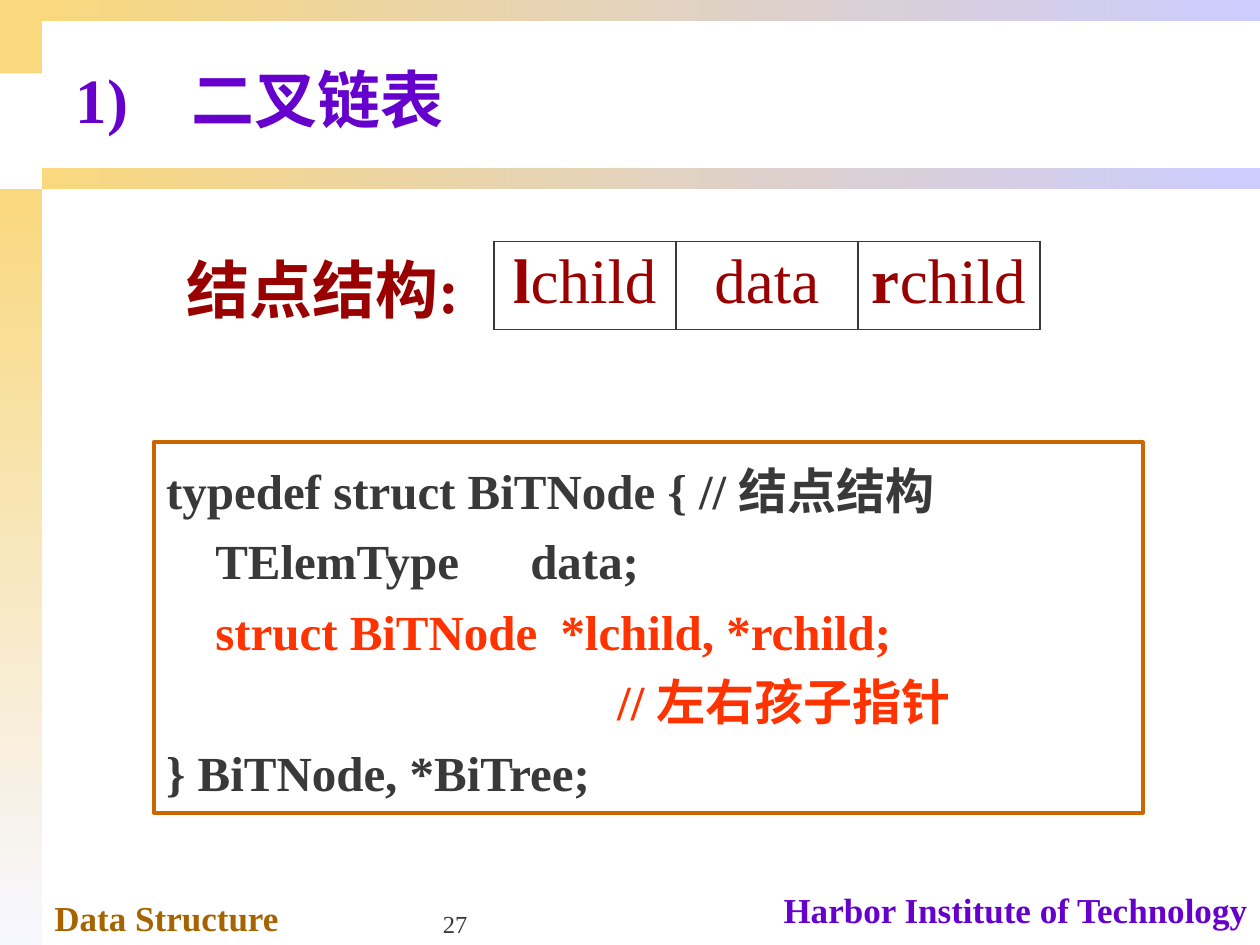
from lxml.etree import SubElement
from pptx import Presentation
from pptx.dml.color import RGBColor
from pptx.enum.shapes import MSO_SHAPE
from pptx.enum.text import MSO_ANCHOR, PP_ALIGN
from pptx.oxml.ns import qn
from pptx.util import Inches, Pt

COLUMNS, ROWS = 60, 45
UNIT = Inches(10) // COLUMNS
FONT = "Times New Roman"

GOLD = RGBColor(0xF9, 0xD8, 0x7E)
MIST = RGBColor(0xF7, 0xF7, 0xFF)
LAVENDER = RGBColor(0xCC, 0xCC, 0xFF)
BROWN = RGBColor(0xA6, 0x63, 0x00)
PURPLE = RGBColor(0x66, 0x00, 0xCC)
INK = RGBColor(0x39, 0x39, 0x39)
ORANGE = RGBColor(0xCC, 0x66, 0x00)
RED = RGBColor(0xFF, 0x33, 0x00)
MAROON = RGBColor(0x99, 0x00, 0x00)

CODE_LINES = [
    ("typedef struct BiTNode { // 结点结构", INK, []),
    ("\tTElemType\tdata;", INK, [2.34, 17.34]),
    ("\tstruct BiTNode\t*lchild, *rchild;", RED, [2.34, 18.78]),
    ("\t// 左右孩子指针", RED, [21.48]),
    ("} BiTNode, *BiTree;", INK, []),
]
NODE_FIELDS = [("l", "child"), ("", "data"), ("r", "child")]


def grid(*cells):
    """Turn grid columns and rows into slide lengths."""
    return [round(cell * UNIT) for cell in cells]


def style(paragraph, size, color, bold=True, align=PP_ALIGN.LEFT):
    """Format a whole paragraph."""
    paragraph.alignment = align
    font = paragraph.font
    font.name, font.size, font.bold = FONT, Pt(size), bold
    font.color.rgb = color


def set_tabs(paragraph, stops):
    """Give a paragraph left tab stops, in grid columns."""
    if stops:
        tabs = SubElement(paragraph._p.get_or_add_pPr(), qn("a:tabLst"))
        for position in grid(*stops):
            SubElement(tabs, qn("a:tab"), pos=str(position), algn="l")


def add_label(slide, box, text, size, color, bold=True, align=PP_ALIGN.LEFT,
              anchor=MSO_ANCHOR.TOP, wrap=True):
    """Place one line of text in a box."""
    frame = slide.shapes.add_textbox(*grid(*box)).text_frame
    frame.word_wrap = wrap
    frame.vertical_anchor = anchor
    frame.text = text
    style(frame.paragraphs[0], size, color, bold, align)


def add_band(slide, box, start, end, angle=0):
    """Draw a borderless band that fades between two colours."""
    band = slide.shapes.add_shape(MSO_SHAPE.RECTANGLE, *grid(*box))
    band.shadow.inherit = False
    band.line.fill.background()
    if start == end:
        band.fill.solid()
        band.fill.fore_color.rgb = start
        return
    band.fill.gradient()
    band.fill.gradient_angle = angle
    for stop, color, position in zip(band.fill.gradient_stops, (start, end), (0, 1)):
        stop.color.rgb = color
        stop.position = position


def add_frame(slide, side, header):
    """Draw the bands along the left side and around the header."""
    add_band(slide, (0, 0, side, 3.5), GOLD, GOLD)
    add_band(slide, (0, header, side, ROWS - header), GOLD, MIST, 270)
    for top in (header - 1, 0):
        add_band(slide, (side, top, COLUMNS - side, 1), GOLD, LAVENDER)


def add_footer(slide, top):
    """Write the course, the school and the page number."""
    add_label(slide, (2, top + 0.4, 21, 2.6), "Data Structure", 20, BROWN)
    add_label(slide, (36.5, top, 23.5, 2.6), "Harbor Institute of Technology",
              20, PURPLE, align=PP_ALIGN.RIGHT)
    add_label(slide, (20.5, top, 12.5, 3), "27", 14, INK, bold=False,
              anchor=MSO_ANCHOR.BOTTOM)


def set_title(slide, box):
    """Place and format the title."""
    title = slide.shapes.title
    title.left, title.top, title.width, title.height = grid(*box)
    frame = title.text_frame
    frame.text = "1)\t二叉链表"
    frame.vertical_anchor = MSO_ANCHOR.MIDDLE
    set_tabs(frame.paragraphs[0], [5.5])
    style(frame.paragraphs[0], 36, PURPLE)


def add_cell_borders(cell):
    """Outline a table cell."""
    properties = cell._tc.get_or_add_tcPr()
    for side in ("lnL", "lnR", "lnT", "lnB"):
        line = SubElement(properties, qn(f"a:{side}"), w=str(Pt(1)))
        fill = SubElement(line, qn("a:solidFill"))
        SubElement(fill, qn("a:srgbClr"), val=str(INK))


def add_node(slide, box):
    """Show the node's label and its row of fields."""
    left, top, width, height = box
    label_width = 14.28
    add_label(slide, (left, top + 0.14, label_width, height), "结点结构:", 36,
              MAROON, wrap=False)
    offset = label_width + 0.96
    table = slide.shapes.add_table(
        1, len(NODE_FIELDS), *grid(left + offset, top, width - offset, height)).table
    table.first_row = table.horz_banding = False
    for cell, (initial, rest) in zip(table.rows[0].cells, NODE_FIELDS):
        add_cell_borders(cell)
        cell.fill.background()
        paragraph = cell.text_frame.paragraphs[0]
        style(paragraph, 36, MAROON, bold=False, align=PP_ALIGN.CENTER)
        if initial:
            run = paragraph.add_run()
            run.text = initial
            run.font.bold = True
        paragraph.add_run().text = rest


def add_code(slide, box):
    """Write the type definition in an outlined box."""
    listing = slide.shapes.add_shape(MSO_SHAPE.RECTANGLE, *grid(*box))
    listing.shadow.inherit = False
    listing.fill.background()
    listing.line.color.rgb = ORANGE
    listing.line.width = Pt(2.25)
    frame = listing.text_frame
    frame.word_wrap = True
    frame.vertical_anchor = MSO_ANCHOR.TOP
    frame.text = "\n".join(text for text, _, _ in CODE_LINES)
    for paragraph, (_, color, stops) in zip(frame.paragraphs, CODE_LINES):
        set_tabs(paragraph, stops)
        paragraph.line_spacing = 1.2
        style(paragraph, 28, color)


def main():
    """Build the slide."""
    deck = Presentation()
    deck.slide_width, deck.slide_height = grid(COLUMNS, ROWS)
    slide = deck.slides.add_slide(deck.slide_layouts[5])
    add_frame(slide, side=2, header=9)
    add_footer(slide, top=42)
    set_title(slide, (3, 1.5, 57, 6.4))
    add_code(slide, (7.32, 21.06, 47.1, 17.64))
    add_node(slide, (8.28, 11.5, 41.24, 4.2))
    deck.save("out.pptx")


if __name__ == "__main__":
    main()
